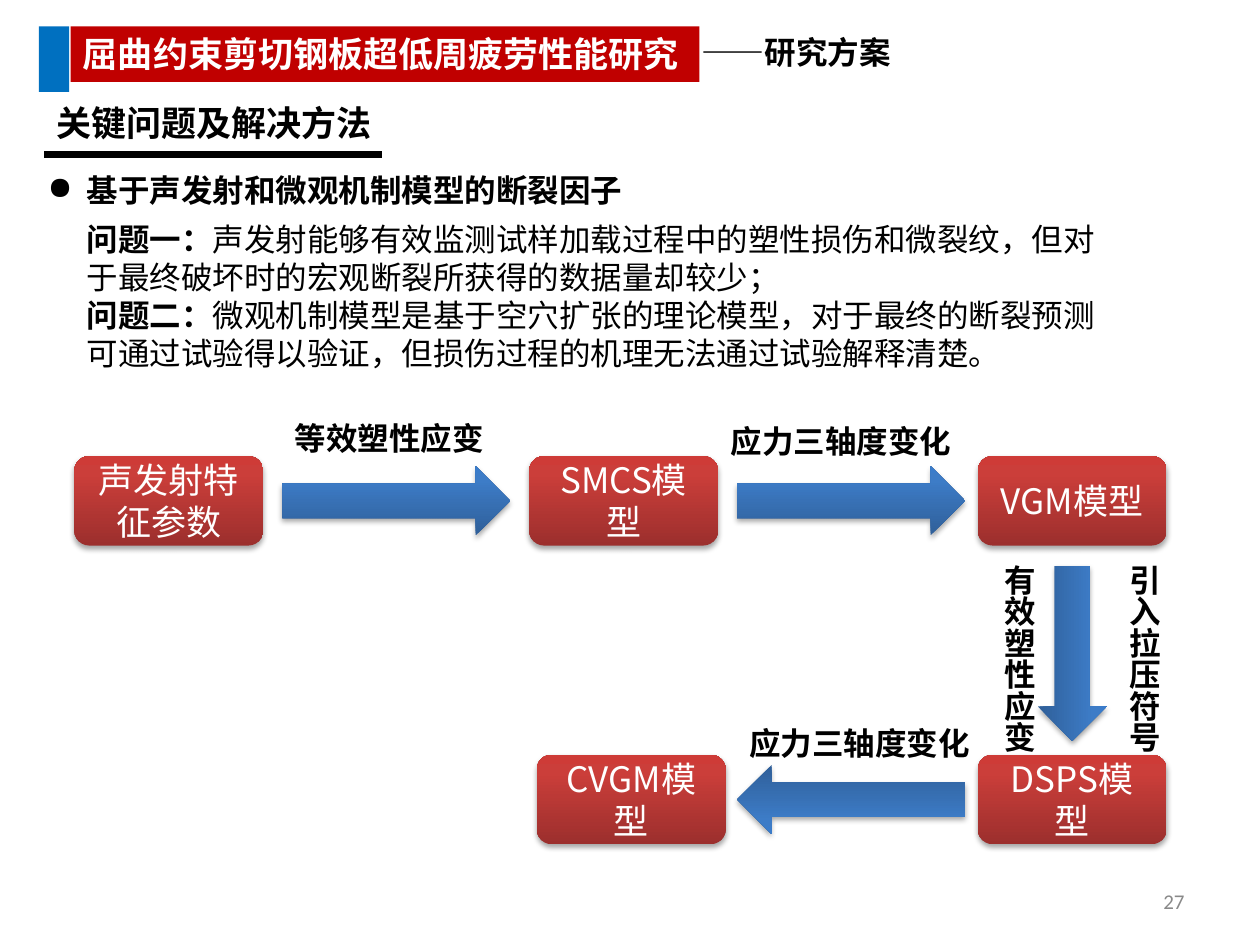
import pptx
import pptx.dml.color
import pptx.enum.shapes
import pptx.enum.text
import pptx.oxml
import pptx.oxml.ns
import pptx.util
from lxml import etree

RGBColor = pptx.dml.color.RGBColor
MSO_SHAPE = pptx.enum.shapes.MSO_SHAPE
PP_ALIGN = pptx.enum.text.PP_ALIGN
MSO_ANCHOR = pptx.enum.text.MSO_ANCHOR
qn = pptx.oxml.ns.qn

WHITE = RGBColor(0xFF, 0xFF, 0xFF)
BLACK = RGBColor(0x00, 0x00, 0x00)
GREY = RGBColor(0x89, 0x89, 0x89)
BANNER_RED = RGBColor(0xC0, 0x00, 0x00)
TAB_BLUE = RGBColor(0x00, 0x70, 0xC0)
# Gloss stops at 0, 80 and 100 percent
MODEL_REDS = [RGBColor(0x9C, 0x2F, 0x2D), RGBColor(0xCB, 0x3E, 0x3A), RGBColor(0xCE, 0x3B, 0x37)]
STEP_BLUES = [RGBColor(0x2F, 0x5F, 0x99), RGBColor(0x3D, 0x7C, 0xC7), RGBColor(0x3A, 0x7C, 0xCB)]

CJK = "Noto Sans CJK SC"
DRAWING_NS = "http://schemas.openxmlformats.org/drawingml/2006/main"

deck = pptx.Presentation()
deck.slide_width = pptx.util.Inches(10)
deck.slide_height = pptx.util.Inches(7.5)
COL = deck.slide_width / 100    # one percent of the width
ROW = deck.slide_height / 100   # one percent of the height
slide = deck.slides.add_slide(deck.slide_layouts[6])
slide.background.fill.solid()
slide.background.fill.fore_color.rgb = WHITE


def add_block(preset, x, y, w, h, colours):
    """Add a borderless shape: one colour is flat, three are a shadowed gloss."""
    block = slide.shapes.add_shape(preset, int(x * COL), int(y * ROW), int(w * COL), int(h * ROW))
    block.shadow.inherit = False
    block.line.fill.background()
    block.fill.solid()
    block.fill.fore_color.rgb = colours[0]
    if len(colours) == 3:
        stops = "".join(
            f'<a:gs pos="{pos}"><a:srgbClr val="{colour}"/></a:gs>'
            for pos, colour in zip((0, 80000, 100000), colours))
        gloss = pptx.oxml.parse_xml(
            f'<a:gradFill xmlns:a="{DRAWING_NS}" rotWithShape="1"><a:gsLst>{stops}</a:gsLst>'
            '<a:lin ang="16200000" scaled="0"/></a:gradFill>')
        props = block._element.spPr
        props.replace(props.find(qn("a:solidFill")), gloss)
        props.find(qn("a:effectLst")).append(pptx.oxml.parse_xml(
            f'<a:outerShdw xmlns:a="{DRAWING_NS}" blurRad="40000" dist="23000" dir="5400000" '
            'rotWithShape="0"><a:srgbClr val="000000"><a:alpha val="35000"/></a:srgbClr></a:outerShdw>'))
    return block


def write(paragraph, text, size, font, colour=BLACK, bold=True):
    run = paragraph.add_run()
    run.text = text
    run.font.size = pptx.util.Pt(size)
    run.font.bold = bold
    run.font.color.rgb = colour
    run.font.name = font
    etree.SubElement(run._r.get_or_add_rPr(), qn("a:ea")).set("typeface", CJK)


# Header band
banner = add_block(MSO_SHAPE.RECTANGLE, 5.6, 2.8, 49.9, 5.87, [BANNER_RED])
banner.text_frame.word_wrap = True
banner.text_frame.vertical_anchor = MSO_ANCHOR.TOP
banner.text_frame.paragraphs[0].alignment = PP_ALIGN.LEFT
write(banner.text_frame.paragraphs[0], "屈曲约束剪切钢板超低周疲劳性能研究", 20, CJK, WHITE)
add_block(MSO_SHAPE.RECTANGLE, 3.1, 2.8, 2.4, 6.93, [TAB_BLUE])

# Flow grid: model columns and rows, arrows between them
MODEL_W, MODEL_H = 15, 9.47
ARROW_W, ARROW_H, GAP = 18.1, 7.33, 1.5
LEFT, MIDDLE, RIGHT = 5.9, 42, 77.6
TOP, BOTTOM = 48.27, 79.87
ARROW_INSET = (MODEL_H - ARROW_H) / 2

for name, x, y in [
    ("声发射特征参数", LEFT, TOP),
    ("SMCS模型", MIDDLE, TOP),
    ("VGM模型", RIGHT, TOP),
    ("DSPS模型", RIGHT, BOTTOM),
    ("CVGM模型", MIDDLE + 0.6, BOTTOM),
]:
    model = add_block(MSO_SHAPE.ROUNDED_RECTANGLE, x, y, MODEL_W, MODEL_H, MODEL_REDS)
    model.text_frame.word_wrap = True
    model.text_frame.vertical_anchor = MSO_ANCHOR.MIDDLE
    model.text_frame.paragraphs[0].alignment = PP_ALIGN.CENTER
    write(model.text_frame.paragraphs[0], name, 20, CJK, WHITE, False)

DOWN_LENGTH = 13.9
for x, y, length, turn in [
    (LEFT + MODEL_W + GAP, TOP + ARROW_INSET, ARROW_W, 0),
    (MIDDLE + MODEL_W + GAP, TOP + ARROW_INSET, ARROW_W, 0),
    (RIGHT + (MODEL_W - DOWN_LENGTH) / 2, 65.47, DOWN_LENGTH, 90),
    (MIDDLE + MODEL_W + GAP, BOTTOM + ARROW_INSET, ARROW_W, 180),
]:
    step = add_block(MSO_SHAPE.RIGHT_ARROW, x, y, length, ARROW_H, STEP_BLUES)
    step.rotation = turn

# Text boxes: place, wrapping, vertical setting, size, font, paragraphs of (text, bold)
PROBLEMS = [
    [("问题一：", True),
     ("声发射能够有效监测试样加载过程中的塑性损伤和微裂纹，但对于最终破坏时的宏观断裂所获得的数据量却较少；", False)],
    [("问题二：", True),
     ("微观机制模型是基于空穴扩张的理论模型，对于最终的断裂预测可通过试验得以验证，但损伤过程的机理无法通过试验解释清楚。", False)],
]
texts = [
    (54.7, 2.8, 17.6, 5.33, False, False, 18, CJK, [[("——研究方案", True)]]),
    (3.5, 10.13, 38.6, 5.87, True, False, 20, "Arial", [[("关键问题及解决方法", True)]]),
    (5.9, 22.67, 83.6, 17.47, True, False, 18, "Times New Roman", PROBLEMS),
    (22.4, 43.73, 17.2, 5.33, False, False, 18, "Arial", [[("等效塑性应变", True)]]),
    (57, 44, 19.7, 5.33, False, False, 18, "Arial", [[("应力三轴度变化", True)]]),
    (58.5, 76, 19.7, 5.33, False, False, 18, "Arial", [[("应力三轴度变化", True)]]),
    (87.8, 58.4, 5, 21.6, False, True, 18, CJK, [[("引入拉压符号", True)]]),
    (77.9, 58.4, 5, 21.6, False, True, 18, CJK, [[("有效塑性应变", True)]]),
    (2.8, 17.47, 48.4, 5.33, False, False, 18, "Times New Roman",
     [[("基于声发射和微观机制模型的断裂因子", True)]]),
]
for x, y, w, h, wraps, vertical, size, font, paragraphs in texts:
    frame = slide.shapes.add_textbox(int(x * COL), int(y * ROW), int(w * COL), int(h * ROW)).text_frame
    frame.word_wrap = wraps
    frame.auto_size = pptx.enum.text.MSO_AUTO_SIZE.SHAPE_TO_FIT_TEXT
    if vertical:
        frame._txBody.bodyPr.set("vert", "eaVert")
    for number, runs in enumerate(paragraphs):
        paragraph = frame.add_paragraph() if number else frame.paragraphs[0]
        for text, bold in runs:
            write(paragraph, text, size, font, bold=bold)

# The last text box is the bulleted heading
bullet_heading = frame.paragraphs[0]
bullet_heading.alignment = PP_ALIGN.JUSTIFY
bullet_props = bullet_heading._p.get_or_add_pPr()
bullet_props.set("marL", str(int(3.1 * COL)))
bullet_props.set("indent", str(int(-3.1 * COL)))
etree.SubElement(bullet_props, qn("a:buChar")).set("char", "●")

# Rule under the section heading
rule = slide.shapes.add_connector(
    pptx.enum.shapes.MSO_CONNECTOR.STRAIGHT,
    int(3.5 * COL), int(16.4 * ROW), int(30.3 * COL), int(16.4 * ROW))
rule.line.color.rgb = BLACK
rule.line.width = pptx.util.Pt(4)
etree.SubElement(rule._element.spPr, qn("a:effectLst"))

page = slide.shapes.add_textbox(
    int(71.7 * COL), int(92.67 * ROW), int(23.3 * COL), int(5.33 * ROW)).text_frame
page.word_wrap = True
page.vertical_anchor = MSO_ANCHOR.MIDDLE
page.paragraphs[0].alignment = PP_ALIGN.RIGHT
write(page.paragraphs[0], "27", 12, "Calibri", GREY, False)

deck.save("out.pptx")
